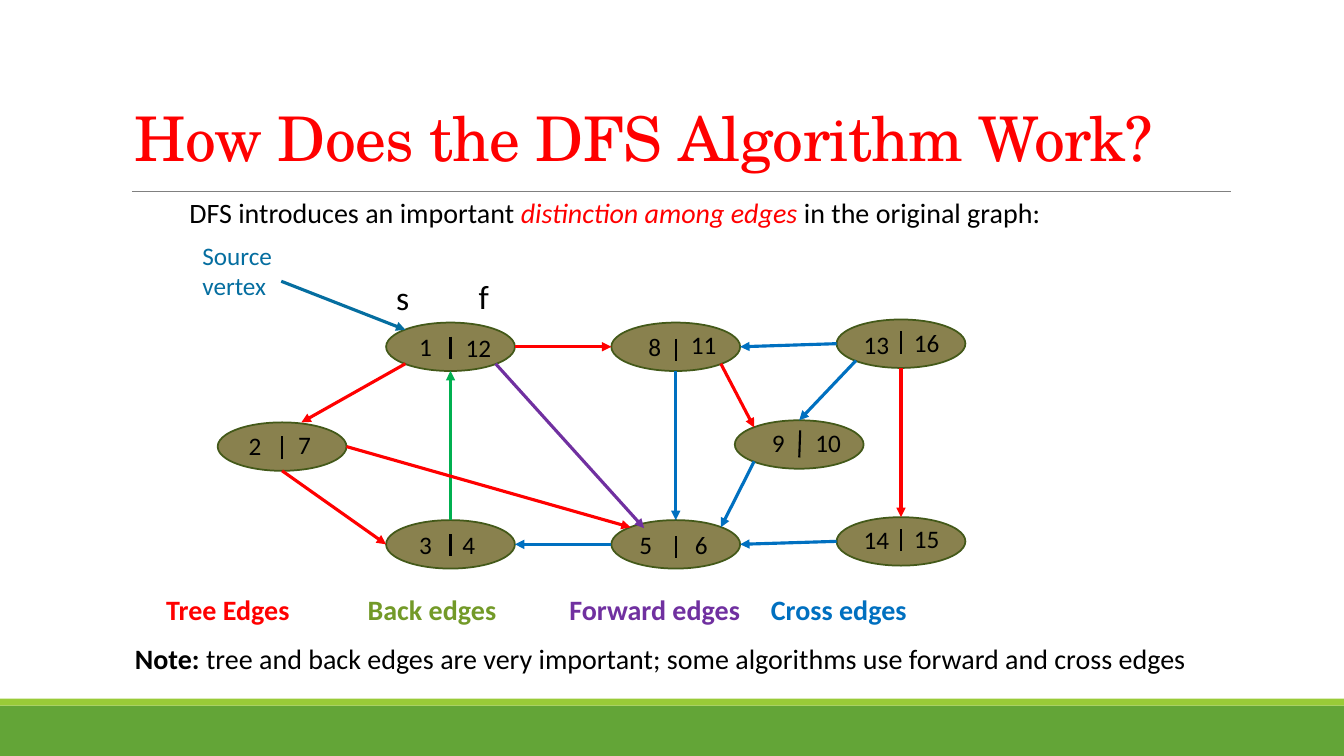
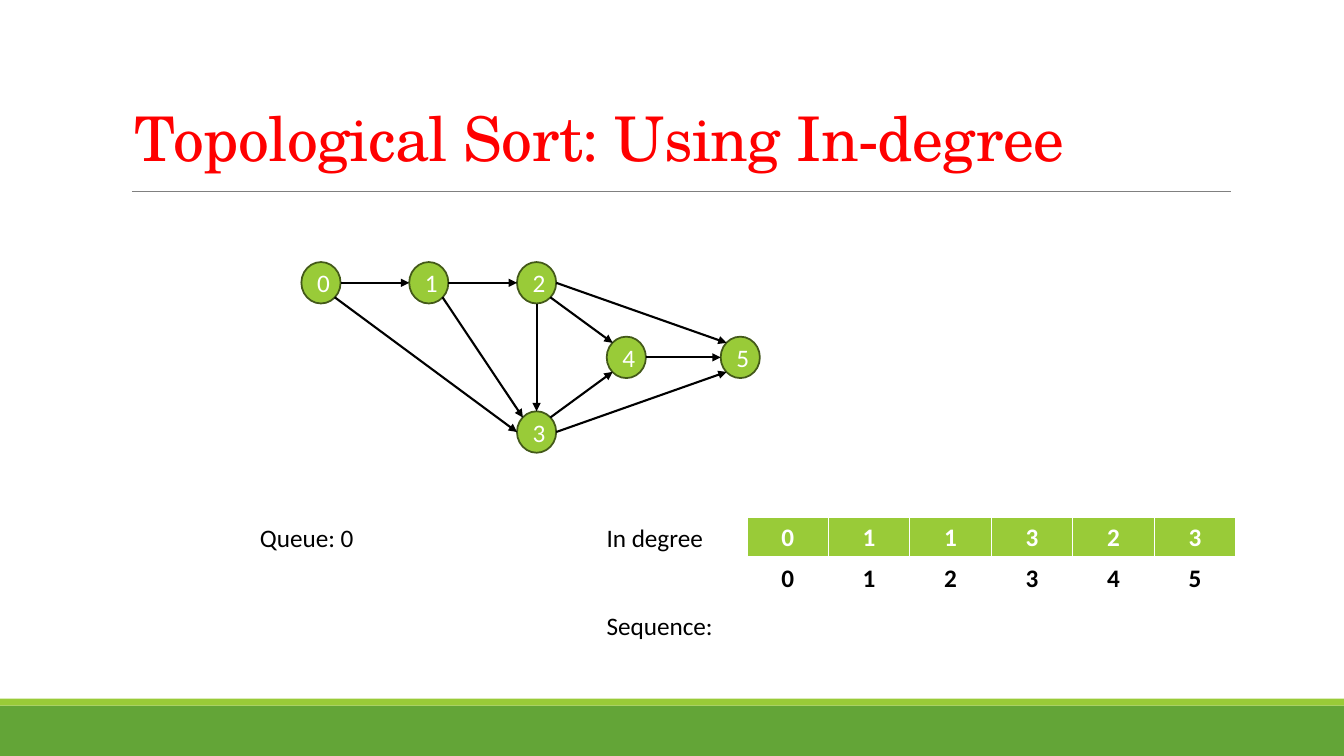
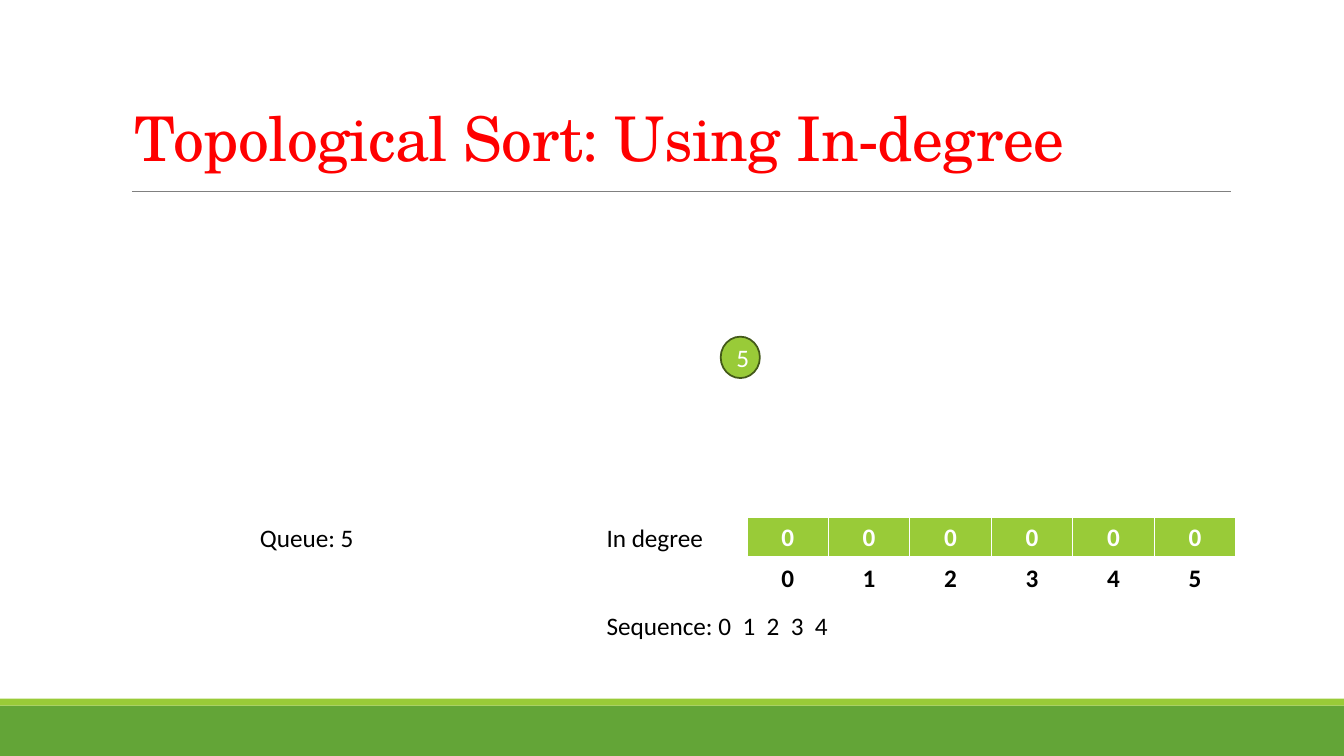
from dataclasses import dataclass
from typing import NamedTuple

from lxml.etree import SubElement
from pptx import Presentation
from pptx.dml.color import RGBColor
from pptx.enum.shapes import MSO_CONNECTOR as Link, MSO_SHAPE as Preset
from pptx.enum.text import MSO_ANCHOR as Anchor, PP_ALIGN as Align
from pptx.oxml.ns import qn
from pptx.util import Pt


@dataclass(frozen=True)
class Theme:
    body_font: str = "Calibri"
    title_font: str = "TeX Gyre Schola"
    title_size: int = 44
    mark_size: int = 24
    text_size: int = 20
    label_size: int = 18
    black: str = "000000"
    white: str = "FFFFFF"
    red: str = "FF0000"
    blue: str = "0070C0"
    purple: str = "7030A0"
    green: str = "00B050"
    olive_text: str = "739A28"
    teal: str = "056EA0"
    olive: str = "89814E"
    outline: str = "435919"
    lime: str = "99CB38"
    band: str = "63A537"
    rule: str = "808080"


T = Theme()


class Vertex(NamedTuple):
    start: str
    finish: str
    left: float
    top: float
    start_at: tuple  # offsets from the vertex's corner
    finish_at: tuple
    bar_top: float
    bar_length: float = 15.8
    bar_lean: float = 0


# Content: depth-first search
DFS_TITLE = "How Does the DFS Algorithm Work?"
VERTEX_SIZE = (92, 34.6)
VERTICES = [
    Vertex("1", "12", 275.8, 230.4, (16.6, 2.9), (49.7, 3.6), 10.1),
    Vertex("8", "11", 436.7, 230.4, (19.4, 2.9), (49.7, 1.4), 11.5),
    Vertex("13", "16", 597.6, 228.2, (12.2, 3.6), (48.2, 2.2), 8.6),
    Vertex("3", "4", 275.8, 371.5, (16.6, 2.9), (47.5, 2.9), 10.1),
    Vertex("5", "6", 436.7, 371.5, (13, 2.9), (52.6, 2.9), 11.5),
    Vertex("14", "15", 597.6, 369.4, (12.2, 1.4), (48.2, 0.7), 8.6),
    Vertex("2", "7", 155.5, 301.7, (15.1, 2.2), (50.4, 1.4), 10.1),
    Vertex("9", "10", 524.9, 300.2, (19.4, 1.4), (50.4, 1.4), 7.2, 19.4, 0.7),
]
# An end is a (vertex, site) pair or a free (x, y) point
DFS_EDGES = [
    (("1", "bottom left"), (215.3, 301.7), T.red),
    (("2", "bottom"), ("3", "left"), T.red),
    (("3", "top"), ("1", "bottom"), T.green),
    (("2", "right"), ("5", "top left"), T.red),
    (("5", "left"), ("3", "right"), T.blue),
    (("1", "bottom right"), (460.1, 377.3), T.purple),
    (("1", "right"), ("8", "left"), T.red),
    (("8", "bottom"), ("5", "top"), T.blue),
    (("13", "left"), ("8", "right"), T.blue),
    (("8", "bottom right"), ("9", "top left"), T.red),
    (("9", "bottom left"), ("5", "top right"), T.blue),
    (("14", "left"), ("5", "right"), T.blue),
    (("13", "bottom"), ("14", "top"), T.red),
    (("13", "bottom left"), ("9", "top"), T.blue),
    ((200.9, 200.9), ("1", "top left"), T.teal),
]
INTRO = [
    ("DFS introduces an important ", {}),
    ("distinction among edges", {"color": T.red, "italic": True}),
    (" in the original graph:", {}),
]
EDGE_KINDS = [
    ("Tree Edges \t", {"color": T.red}),
    ("Back edges\t", {"color": T.olive_text}),
    ("Forward edges\t", {"color": T.purple}),
    ("Cross edges", {"color": T.blue}),
]
NOTE = [
    ("Note: ", {"bold": True}),
    ("tree and back edges are very important; some algorithms use "
     "forward and cross edges", {}),
]

# Content: topological sort
SORT_TITLE = "Topological Sort: Using In-degree"
CIRCLE_SIZE = (28, 29.6)
CIRCLES = {
    "0": (215.3, 187.2), "1": (292.3, 187.2), "2": (369.3, 187.2),
    "3": (369.3, 293.8), "4": (433.4, 240.5), "5": (514.8, 240.5),
}
SORT_EDGES = [
    (("0", "right"), ("1", "left")),
    (("1", "right"), ("2", "left")),
    (("2", "bottom"), ("3", "top")),
    (("2", "bottom right"), ("4", "top left")),
    (("3", "top right"), ("4", "bottom left")),
    (("4", "right"), ("5", "left")),
    (("2", "right"), ("5", "top left")),
    (("3", "right"), ("5", "bottom left")),
    (("1", "bottom right"), ("3", "top left")),
    (("0", "bottom right"), ("3", "left")),
]
SORT_STEPS = [
    {"circles": "012345", "edges": SORT_EDGES, "queue": "Queue: 0",
     "degrees": "011323", "sequence": "Sequence:"},
    {"circles": "5", "edges": [], "queue": "Queue: 5",
     "degrees": "000000", "sequence": "Sequence: 0  1  2  3  4"},
]

# Connection sites of an ellipse: index, share of width, share of height
NEAR, FAR = 0.15, 0.85
SITES = {
    "top": (0, 0.5, 0), "top left": (1, NEAR, NEAR),
    "left": (2, 0, 0.5), "bottom left": (3, NEAR, FAR),
    "bottom": (4, 0.5, 1), "bottom right": (5, FAR, FAR),
    "right": (6, 1, 0.5), "top right": (7, FAR, NEAR),
}


def rgb(color):
    return RGBColor.from_string(color)


def write(frame, text, size=T.label_size, color=T.black, font=T.body_font,
          bold=False, italic=False, align=Align.LEFT, line_spacing=None,
          tracking=None, tabs=()):
    """Fill a frame with a string (one paragraph a line) or a list of runs."""
    if isinstance(text, str):
        text_lines = [[(line, {})] for line in text.split("\n")]
    else:
        text_lines = [text]
    for number, runs in enumerate(text_lines):
        paragraph = frame.add_paragraph() if number else frame.paragraphs[0]
        paragraph.alignment = align
        if line_spacing:
            paragraph.line_spacing = line_spacing
        if tabs:
            stops = SubElement(paragraph._p.get_or_add_pPr(), qn("a:tabLst"))
            for stop in tabs:
                SubElement(stops, qn("a:tab"), pos=str(Pt(stop)), algn="l")
        for words, own in runs:
            run = paragraph.add_run()
            run.text = words
            run.font.size = Pt(size)
            run.font.name = font
            run.font.bold = own.get("bold", bold)
            run.font.italic = own.get("italic", italic)
            run.font.color.rgb = rgb(own.get("color", color))
            if tracking:
                run.font._element.set("spc", str(tracking))


def add_text(slide, box, text, wrap=True, anchor=Anchor.TOP, **style):
    frame = slide.shapes.add_textbox(*map(Pt, box)).text_frame
    frame.word_wrap = wrap
    frame.vertical_anchor = anchor
    write(frame, text, **style)


def add_filled(slide, preset, box, fill, outline=None):
    shape = slide.shapes.add_shape(preset, *map(Pt, box))
    shape.shadow.inherit = False
    shape.fill.solid()
    shape.fill.fore_color.rgb = rgb(fill)
    if outline:
        shape.line.color.rgb = rgb(outline)
        shape.line.width = Pt(1.25)
    else:
        shape.line.fill.background()
    return shape


def add_line(slide, begin, end, color, width, arrow=False):
    line = slide.shapes.add_connector(
        Link.STRAIGHT, *(Pt(value) for value in (*begin, *end)))
    line.line.color.rgb = rgb(color)
    line.line.width = Pt(width)
    if arrow:
        SubElement(line.line._get_or_add_ln(), qn("a:tailEnd"), type="triangle")
    SubElement(line._element.spPr, qn("a:effectLst"))
    return line


def add_edge(slide, ellipses, begin, end, color, width):
    """Draw an arrow and join each end that names an ellipse and its site."""
    points, joints = [], []
    for tag, place in (("a:stCxn", begin), ("a:endCxn", end)):
        if place[1] in SITES:
            ellipse = ellipses[place[0]]
            index, across, down = SITES[place[1]]
            points.append(((ellipse.left + ellipse.width * across) / Pt(1),
                           (ellipse.top + ellipse.height * down) / Pt(1)))
            joints.append((tag, ellipse.shape_id, index))
        else:
            points.append(place)
    arrow = add_line(slide, *points, color, width, arrow=True)
    links = arrow._element.find(".//" + qn("p:cNvCxnSpPr"))
    for tag, ellipse_id, index in joints:
        SubElement(links, qn(tag), id=str(ellipse_id), idx=str(index))


def add_number_row(slide, top, numbers, fill, color):
    width, height = 58.2, 29.2
    row = slide.shapes.add_table(
        1, len(numbers), Pt(533.5), Pt(top),
        Pt(width * len(numbers)), Pt(height)).table
    for cell, number in zip(row.iter_cells(), numbers):
        borders = cell._tc.get_or_add_tcPr()
        for side, weight in (("L", 1), ("R", 1), ("T", 1), ("B", 3)):
            border = SubElement(borders, qn("a:ln" + side), w=str(Pt(weight)))
            paint = SubElement(border, qn("a:solidFill"))
            SubElement(paint, qn("a:srgbClr"), val=T.white)
        cell.fill.solid()
        cell.fill.fore_color.rgb = rgb(fill)
        write(cell.text_frame, number, color=color, bold=True,
              align=Align.CENTER)


def new_slide(deck, title):
    """Start a slide with the shared bands, rule and title."""
    slide = deck.slides.add_slide(deck.slide_layouts[6])
    add_filled(slide, Preset.RECTANGLE, (0, 504, 960, 36), T.band)
    add_filled(slide, Preset.RECTANGLE, (0, 499, 960, 5), T.lime)
    add_line(slide, (94.3, 136.8), (879.1, 136.8), T.rule, 0.5)
    add_text(slide, (89.3, 13.7, 825, 114.5), title, anchor=Anchor.BOTTOM,
             size=T.title_size, font=T.title_font, color=T.red,
             line_spacing=0.85, tracking=-50)
    return slide


def add_dfs_slide(deck):
    slide = new_slide(deck, DFS_TITLE)
    # Graph
    ellipses = {
        v.start: add_filled(slide, Preset.OVAL, (v.left, v.top, *VERTEX_SIZE),
                            T.olive, T.outline)
        for v in VERTICES}
    for begin, end, color in DFS_EDGES:
        add_edge(slide, ellipses, begin, end, color, 2.25)
    # Start and finish times
    for v in VERTICES:
        middle, bar_top = v.left + VERTEX_SIZE[0] / 2, v.top + v.bar_top
        add_line(slide, (middle + v.bar_lean, bar_top),
                 (middle, bar_top + v.bar_length), T.black, 1.5)
        for time, (dx, dy) in ((v.start, v.start_at), (v.finish, v.finish_at)):
            width = 14.6 + 9.2 * len(time)
            add_text(slide, (v.left + dx, v.top + dy, width, 29), time,
                     wrap=False)
    # Labels and sentences
    add_text(slide, (137.5, 167.8, 69, 51), "Source\nvertex", wrap=False,
             color=T.teal)
    for mark, left, top in (("s", 275.8, 194.4), ("f", 334.8, 193.7)):
        add_text(slide, (left, top, 27.4, 36), mark, size=T.mark_size)
    add_text(slide, (128.2, 136.1, 676, 31.5), INTRO, size=T.text_size)
    add_text(slide, (111.6, 419.8, 676, 31.5), EDGE_KINDS, size=T.text_size,
             bold=True, tabs=[144 * n for n in range(1, len(EDGE_KINDS))])
    add_text(slide, (89.3, 455, 788, 31.5), NOTE, size=T.text_size)


def add_sort_slide(deck, step):
    slide = new_slide(deck, SORT_TITLE)
    # Graph
    ellipses = {}
    for name in step["circles"]:
        circle = add_filled(slide, Preset.OVAL, (*CIRCLES[name], *CIRCLE_SIZE),
                            T.lime, T.outline)
        circle.text_frame.vertical_anchor = Anchor.MIDDLE
        write(circle.text_frame, name, color=T.white, align=Align.CENTER)
        ellipses[name] = circle
    for begin, end in step["edges"]:
        add_edge(slide, ellipses, begin, end, T.black, 1.5)
    # State of the sort
    add_text(slide, (178.6, 369.4, 86, 29), step["queue"], wrap=False)
    add_text(slide, (426.2, 369.4, 88.6, 29), "In degree", wrap=False)
    add_number_row(slide, 369.4, step["degrees"], T.lime, T.white)
    add_number_row(slide, 398.9, list(CIRCLES), T.white, T.black)
    add_text(slide, (426.2, 432.7, 320, 29), step["sequence"])


def main():
    deck = Presentation()
    deck.slide_width, deck.slide_height = Pt(960), Pt(540)
    add_dfs_slide(deck)
    for step in SORT_STEPS:
        add_sort_slide(deck, step)
    deck.save("out.pptx")


if __name__ == "__main__":
    main()
